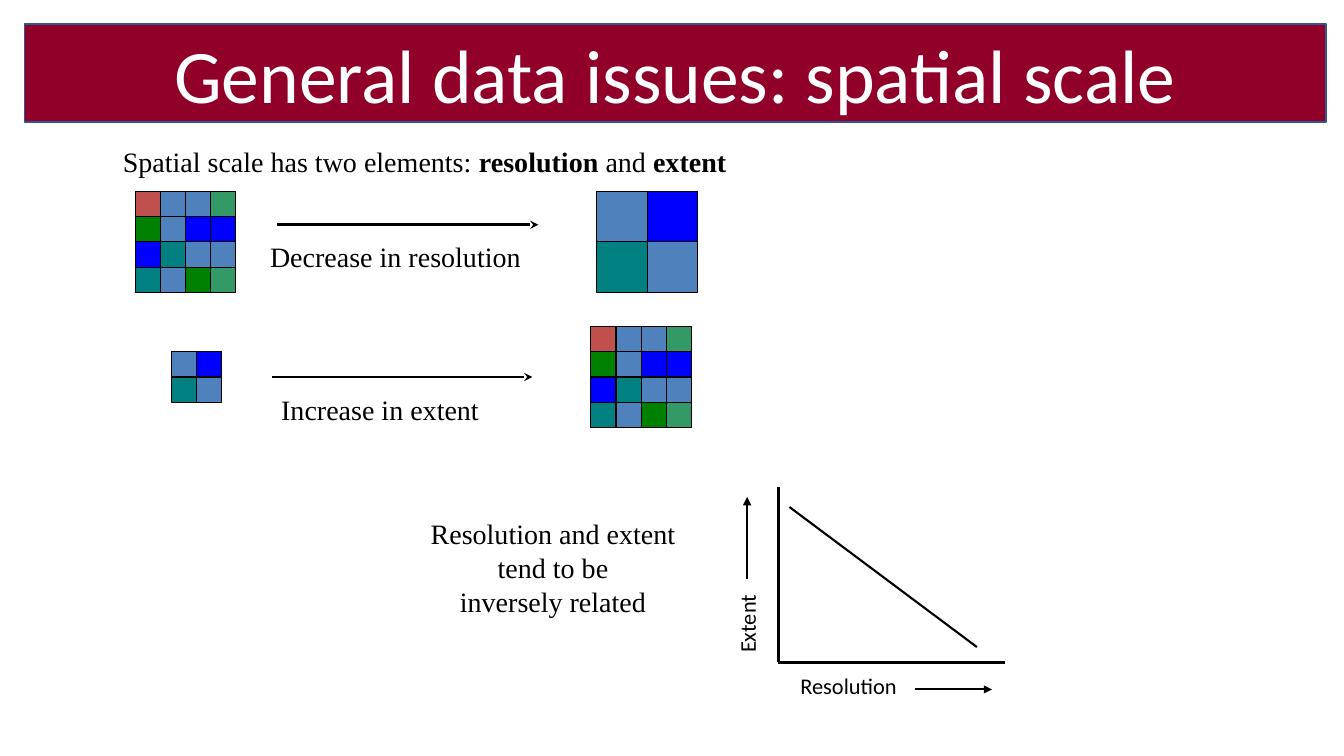
"""Build the slide on spatial scale: resolution and extent."""
from lxml import etree
from pptx import Presentation
from pptx.dml.color import RGBColor
from pptx.enum.shapes import MSO_CONNECTOR, MSO_SHAPE
from pptx.enum.text import MSO_ANCHOR, PP_ALIGN
from pptx.oxml.ns import qn
from pptx.util import Inches, Pt

RECT = MSO_SHAPE.RECTANGLE
LINE = MSO_CONNECTOR.STRAIGHT
MIDDLE = MSO_ANCHOR.MIDDLE
LEFT, CENTER = PP_ALIGN.LEFT, PP_ALIGN.CENTER
SERIF, SANS = "Times New Roman", "Calibri"

COLORS = {
    "banner": "900028", "edge": "325491", "white": "FFFFFF", "black": "000000",
    "R": "C0504D", "S": "4F81BD", "M": "339966",
    "G": "008000", "B": "0000FF", "T": "008080",
}

TITLE = "General data issues: spatial scale"
FINE = ["RSSM", "GSBB", "BTSS", "TSGM"]
COARSE = ["SB", "TS"]

# rows of colour keys, left, top, cell size
GRIDS = [
    (FINE, 1.34, 1.9, 0.25),
    (COARSE, 5.92, 1.9, 0.5),
    (FINE, 5.86, 3.24, 0.25),
    (COARSE, 1.7, 3.49, 0.25),
]

# start, end, width, arrowhead
LINES = [
    ((2.75, 2.23), (5.34, 2.23), 2, "stealth"),
    ((2.7, 3.74), (5.28, 3.74), 2, "stealth"),
    ((7.72, 4.83), (7.72, 6.57), 2, None),
    ((7.72, 6.57), (9.97, 6.57), 2, None),
    ((9.08, 6.84), (9.84, 6.84), 1.5, "triangle"),
    ((7.83, 5.03), (9.69, 6.42), 1.5, None),
    ((7.41, 5.74), (7.41, 4.93), 1.5, "triangle"),
]

# box, paragraphs of (text, bold) runs, font, size, alignment, wrap, rotation
LABELS = [
    ((1.12, 1.38, 6.33, 0.43),
     [[("Spatial scale has two elements: ", False), ("resolution", True),
       (" and ", False), ("extent", True)]], SERIF, 20, LEFT, True, 0),
    ((2.58, 2.33, 2.97, 0.43), [[("Decrease in resolution", False)]],
     SERIF, 20, LEFT, False, 0),
    ((2.69, 3.84, 2.39, 0.43), [[("Increase in extent", False)]],
     SERIF, 20, LEFT, False, 0),
    ((4.06, 5.08, 2.85, 1.1),
     [[("Resolution and extent tend to be", False)],
      [("inversely related", False)]], SERIF, 20, CENTER, True, 0),
    ((7.84, 6.62, 1.25, 0.36), [[("Resolution", False)]],
     SANS, 16, LEFT, False, 0),
    ((6.99, 5.98, 0.83, 0.36), [[("Extent", False)]],
     SANS, 16, LEFT, False, 270),
]


def color(key):
    return RGBColor.from_string(COLORS[key])


def style(para, font, size, key, align):
    para.alignment = align
    para.font.name = font
    para.font.size = Pt(size)
    para.font.color.rgb = color(key)


def add_rect(shapes, box, fill, edge, width):
    rect = shapes.add_shape(RECT, *map(Inches, box))
    rect.shadow.inherit = False
    rect.fill.solid()
    rect.fill.fore_color.rgb = color(fill)
    rect.line.color.rgb = color(edge)
    rect.line.width = Pt(width)
    return rect


def add_title(shapes):
    banner = add_rect(shapes, (0.24, 0.24, 12.91, 0.97), "banner", "edge", 1)
    frame = banner.text_frame
    frame.vertical_anchor = MIDDLE
    frame.text = TITLE
    style(frame.paragraphs[0], SANS, 54, "white", CENTER)


def add_grid(shapes, rows, left, top, size):
    group = shapes.add_group_shape()
    for i, row in enumerate(rows):
        for j, key in enumerate(row):
            box = (left + j * size, top + i * size, size, size)
            add_rect(group.shapes, box, key, "black", 0.75)


def add_line(shapes, start, end, width, head):
    line = shapes.add_connector(LINE, *map(Inches, start + end))
    line.line.color.rgb = color("black")
    line.line.width = Pt(width)
    props = line._element.spPr
    if head:
        etree.SubElement(props.find(qn("a:ln")), qn("a:tailEnd"), type=head)
    etree.SubElement(props, qn("a:effectLst"))


def add_label(shapes, box, paras, font, size, align, wrap, turn):
    label = shapes.add_textbox(*map(Inches, box))
    label.rotation = turn
    frame = label.text_frame
    frame.word_wrap = wrap
    for i, runs in enumerate(paras):
        para = frame.add_paragraph() if i else frame.paragraphs[0]
        style(para, font, size, "black", align)
        for text, bold in runs:
            run = para.add_run()
            run.text = text
            if bold:
                run.font.bold = True


def main():
    deck = Presentation()
    deck.slide_width, deck.slide_height = Inches(13.33), Inches(7.5)
    shapes = deck.slides.add_slide(deck.slide_layouts[6]).shapes
    add_title(shapes)
    for grid in GRIDS:
        add_grid(shapes, *grid)
    for line in LINES:
        add_line(shapes, *line)
    for label in LABELS:
        add_label(shapes, *label)
    deck.save("out.pptx")


if __name__ == "__main__":
    main()
